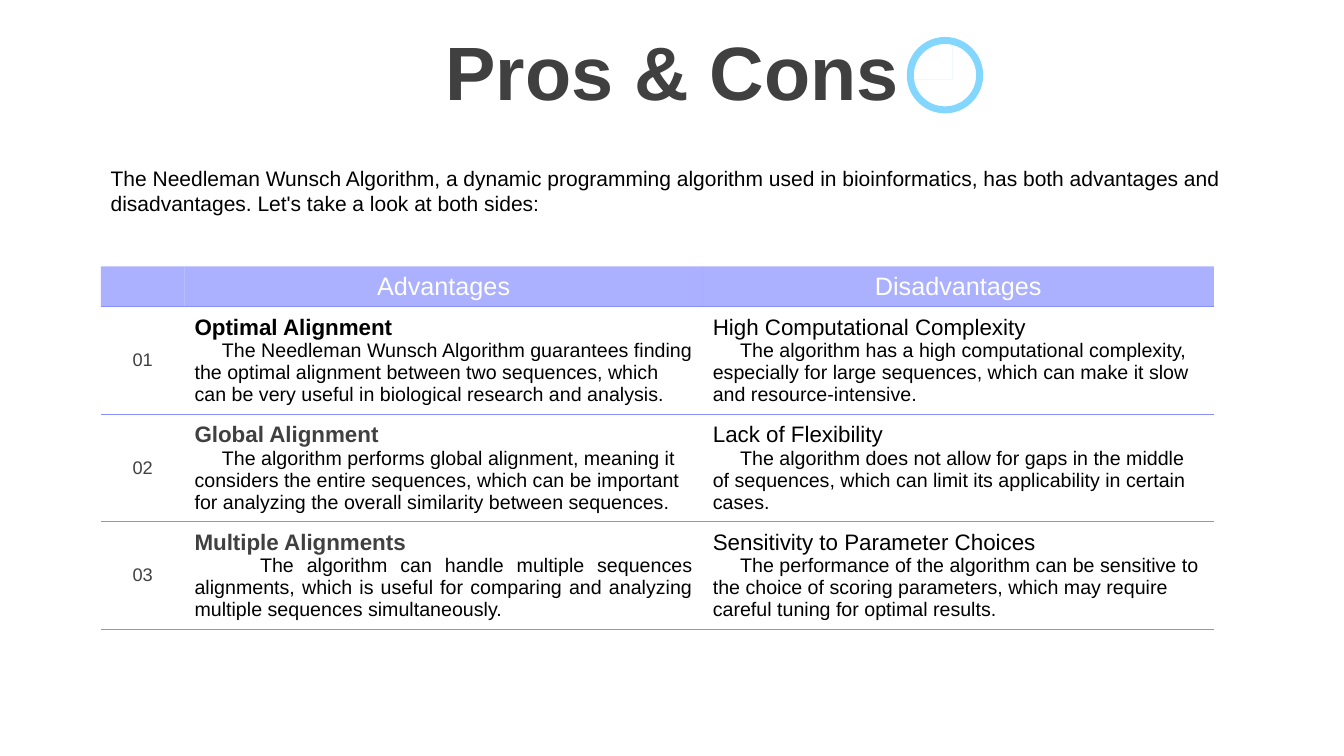
import math
from dataclasses import dataclass

import lxml.etree
import pptx
import pptx.dml.color
import pptx.enum.shapes
import pptx.enum.text
import pptx.oxml.ns
import pptx.util

Cm = pptx.util.Cm
Pt = pptx.util.Pt
Align = pptx.enum.text.PP_ALIGN
Outline = list[tuple[float, float]]

VIOLET, SKY, WHITE, BLACK, GREY = "888FFF", "83D7FF", "FFFFFF", "000000", "404040"


@dataclass
class Line:
    text: str
    size: float
    color: str = BLACK
    bold: bool = False
    align: Align = Align.LEFT
    indent: float = 0


@dataclass
class Point:
    heading: str
    detail: str
    color: str = BLACK
    bold: bool = False
    align: Align = Align.LEFT
    indent: float = 0.69

    def lines(self) -> list[Line]:
        return [Line(self.heading, 16, self.color, self.bold),
                Line(self.detail, 14, align=self.align, indent=self.indent)]


@dataclass
class Bar:
    x: float
    y: float
    width: float
    height: float
    angle: float = 0

    def outline(self) -> Outline:
        cos, sin = math.cos(math.radians(self.angle)), math.sin(math.radians(self.angle))
        corners = [(sx * self.width / 2, sy * self.height / 2)
                   for sx, sy in ((-1, -1), (-1, 1), (1, 1), (1, -1))]
        return [(self.x + dx * cos - dy * sin, self.y + dx * sin + dy * cos)
                for dx, dy in corners]


COMPARISON = [
    (Point("Optimal Alignment",
           "The Needleman Wunsch Algorithm guarantees finding the optimal alignment between two "
           "sequences, which can be very useful in biological research and analysis.", bold=True),
     Point("High Computational Complexity",
           "The algorithm has a high computational complexity, especially for large sequences, "
           "which can make it slow and resource-intensive.")),
    (Point("Global Alignment",
           "The algorithm performs global alignment, meaning it considers the entire sequences, "
           "which can be important for analyzing the overall similarity between sequences.",
           GREY, True),
     Point("Lack of Flexibility",
           "The algorithm does not allow for gaps in the middle of sequences, which can limit "
           "its applicability in certain cases.")),
    (Point("Multiple Alignments",
           "The algorithm can handle multiple sequences alignments, which is useful for comparing "
           "and analyzing multiple sequences simultaneously.",
           GREY, True, Align.JUSTIFY, 1.65),
     Point("Sensitivity to Parameter Choices",
           "The performance of the algorithm can be sensitive to the choice of scoring parameters, "
           "which may require careful tuning for optimal results.")),
]


def rgb(code: str) -> pptx.dml.color.RGBColor:
    return pptx.dml.color.RGBColor.from_string(code)


def add_element(parent, tag: str, **attributes: str):
    return lxml.etree.SubElement(parent, pptx.oxml.ns.qn(tag), attributes)


def write(frame, lines: list[Line], spacing: float = 1.0) -> None:
    for number, line in enumerate(lines):
        paragraph = frame.paragraphs[0] if number == 0 else frame.add_paragraph()
        paragraph.alignment = line.align
        paragraph.line_spacing = spacing
        if line.indent:
            paragraph._p.get_or_add_pPr().set("indent", str(Cm(line.indent)))
        run = paragraph.add_run()
        run.text = line.text
        formats = {"name": "Arial", "size": Pt(line.size), "bold": line.bold}
        for attribute, value in formats.items():
            setattr(run.font, attribute, value)
        run.font.color.rgb = rgb(line.color)


def add_text(slide, box: tuple[float, ...], line: Line,
             anchor: pptx.enum.text.MSO_ANCHOR, spacing: float = 1.0) -> None:
    frame = slide.shapes.add_textbox(*map(Cm, box)).text_frame
    for attribute, value in {"word_wrap": True, "vertical_anchor": anchor}.items():
        setattr(frame, attribute, value)
    write(frame, [line], spacing)


def style_cell(cell, top: float, bottom: float, header: bool) -> None:
    cell.vertical_anchor = pptx.enum.text.MSO_ANCHOR.MIDDLE
    properties = cell._tc.get_or_add_tcPr()
    for side, width in {"L": 0, "R": 0, "T": top, "B": bottom}.items():
        border = add_element(properties, f"a:ln{side}", w=str(Pt(width)))
        if width:
            add_element(add_element(border, "a:solidFill"), "a:srgbClr", val=VIOLET)
        else:
            add_element(border, "a:noFill")
    if header:
        cell.fill.solid()
        cell.fill.fore_color.rgb = rgb(VIOLET)
        tint = properties.find(pptx.oxml.ns.qn("a:solidFill"))
        add_element(tint[0], "a:alpha", val="70000")
    else:
        cell.fill.background()


def add_comparison(slide) -> None:
    widths = [2.11, 13.06, 12.88]
    heights = [0.97] + [1.0] * len(COMPARISON)
    frame = slide.shapes.add_table(len(heights), len(widths), Cm(2.54), Cm(6.71),
                                   Cm(sum(widths)), Cm(sum(heights)))
    table = frame.table
    for attribute, value in {"first_row": False, "horz_banding": False}.items():
        setattr(table, attribute, value)
    for column, width in zip(table.columns, widths):
        column.width = Cm(width)
    for row, height in zip(table.rows, heights):
        row.height = Cm(height)
    frame.height = Cm(9.14)

    contents = [[[]] + [[Line(label, 18, WHITE, align=Align.CENTER)]
                        for label in ("Advantages", "Disadvantages")]]
    for number, points in enumerate(COMPARISON, 1):
        ordinal = Line(f"{number:02}", 13, GREY, align=Align.CENTER)
        contents.append([[ordinal]] + [point.lines() for point in points])
    tops = [0, 1, 0.75, 0.75]
    bottoms = [1, 0.75, 0.75, 0.75]
    for r, row_contents in enumerate(contents):
        for c, lines in enumerate(row_contents):
            cell = table.cell(r, c)
            style_cell(cell, tops[r], bottoms[r], r == 0)
            write(cell.text_frame, lines)


def paint(shape, color: str) -> None:
    shape.shadow.inherit = False
    shape.fill.solid()
    shape.fill.fore_color.rgb = rgb(color)
    shape.line.fill.background()


def add_bulb(slide) -> None:
    x, y = 23.81, 1.85
    ring = slide.shapes.add_shape(pptx.enum.shapes.MSO_SHAPE.OVAL,
                                  Cm(22.94), Cm(1.02), Cm(1.75), Cm(1.75))
    paint(ring, WHITE)
    ring.line.color.rgb = rgb(SKY)
    ring.line.width = Pt(5)

    glass = [(x + 0.25 * math.cos(math.radians(angle)), y + 0.25 * math.sin(math.radians(angle)))
             for angle in range(120, 421, 10)]
    glass += [(x + 0.11, 2.21), (x - 0.11, 2.21)]
    bars = [Bar(x + offset, 2.05, 0.02, 0.3) for offset in (-0.06, 0.06)]
    bars += [Bar(x + offset, 1.94, 0.02, 0.08) for offset in (-0.02, 0.02)]
    bars += [Bar(x, 2.26 + 0.07 * step, width, 0.05)
             for step, width in enumerate((0.21, 0.21, 0.15))]
    for angle in (180, 216, 270, 324, 360):
        direction = math.radians(angle)
        bars.append(Bar(x + 0.4 * math.cos(direction), y + 0.4 * math.sin(direction),
                        0.12, 0.05, angle))

    builder = slide.shapes.build_freeform(*glass[0], scale=Cm(1))
    builder.add_line_segments(glass[1:], close=True)
    for bar in bars:
        corners = bar.outline()
        builder.move_to(*corners[0])
        builder.add_line_segments(corners[1:], close=True)
    paint(builder.convert_to_shape(), SKY)


def main() -> None:
    deck = pptx.Presentation()
    for attribute, value in {"slide_width": Cm(33.87), "slide_height": Cm(19.05)}.items():
        setattr(deck, attribute, value)
    slide = deck.slides.add_slide(deck.slide_layouts[6])
    add_text(slide, (0.86, 0.91, 32.16, 2.01),
             Line("Pros & Cons", 54, GREY, True, Align.CENTER),
             pptx.enum.text.MSO_ANCHOR.MIDDLE, 0.9)
    add_comparison(slide)
    add_text(slide, (2.54, 4.04, 29.03, 1.55),
             Line("The Needleman Wunsch Algorithm, a dynamic programming algorithm used in "
                  "bioinformatics, has both advantages and disadvantages. Let's take a look "
                  "at both sides:", 15),
             pptx.enum.text.MSO_ANCHOR.TOP)
    add_bulb(slide)
    deck.save("out.pptx")


if __name__ == "__main__":
    main()
